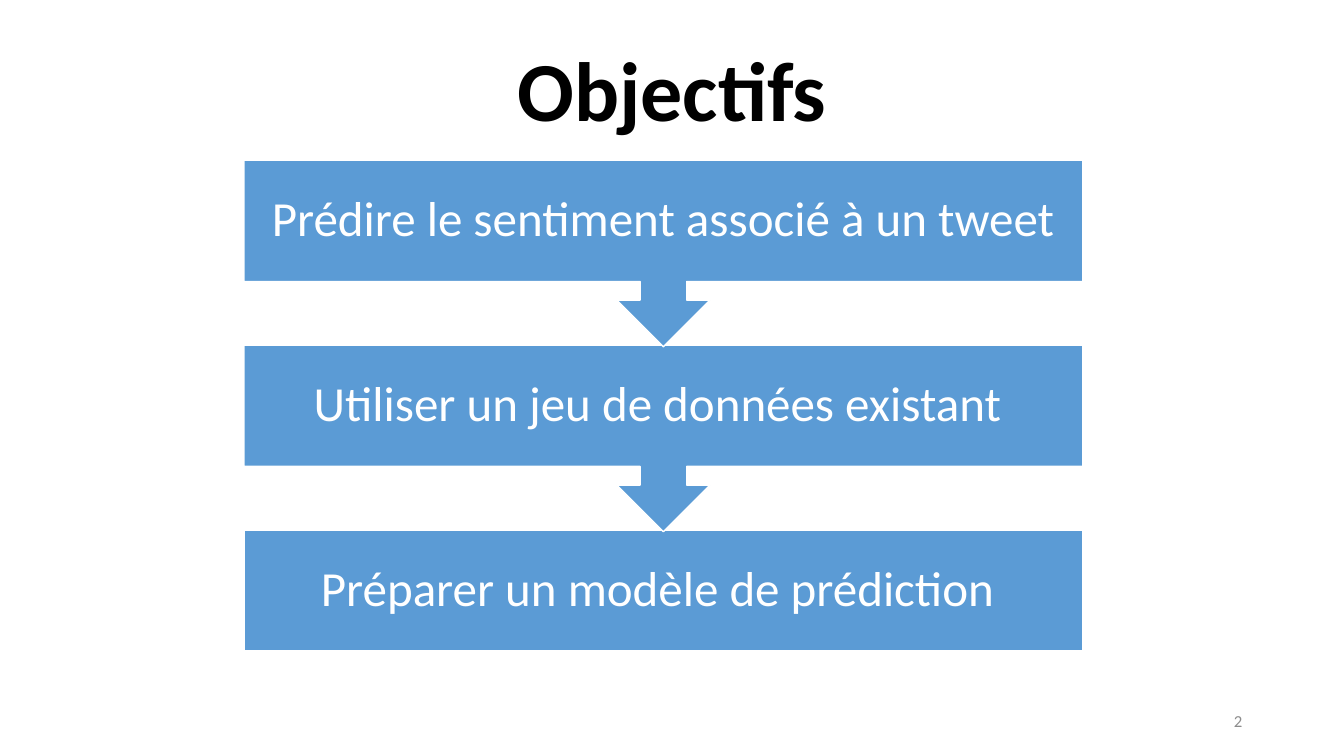
from pptx import Presentation
from pptx.dml.color import RGBColor
from pptx.enum import shapes, text
from pptx.util import Inches, Pt


def style(paragraph, size, color, align, bold=False):
    paragraph.alignment = align
    for run in paragraph.runs:
        run.font.name = "Calibri"
        run.font.size = Pt(size)
        run.font.bold = bold
        run.font.color.rgb = RGBColor.from_string(color)


prs = Presentation()
prs.slide_width = Inches(13.33)
prs.slide_height = Inches(7.5)
slide = prs.slides.add_slide(prs.slide_layouts[5])

heading = slide.shapes.title
heading.left, heading.top = Inches(0), Inches(0.03)
heading.width, heading.height = Inches(13.33), Inches(1.82)
heading.text_frame.text = "Objectifs"
heading.text_frame.vertical_anchor = text.MSO_ANCHOR.MIDDLE
heading.text_frame.paragraphs[0].line_spacing = 0.9
style(heading.text_frame.paragraphs[0], 60, "000000", text.PP_ALIGN.CENTER, True)

page_number = slide.shapes.add_textbox(Inches(9.42), Inches(6.95), Inches(3), Inches(0.4))
page_number.text_frame.word_wrap = True
page_number.text_frame.vertical_anchor = text.MSO_ANCHOR.MIDDLE
page_number.text_frame.text = "2"
style(page_number.text_frame.paragraphs[0], 12, "8C8C8C", text.PP_ALIGN.RIGHT)

CALLOUT = shapes.MSO_SHAPE.DOWN_ARROW_CALLOUT
objectives = [
    ("Prédire le sentiment associé à un tweet", CALLOUT, 1.85),
    ("Utiliser un jeu de données existant ", CALLOUT, 1.85),
    ("Préparer un modèle de prédiction ", shapes.MSO_SHAPE.RECTANGLE, 1.2),
]
first_top, step = 1.59, 1.835

for row, (wording, kind, height) in reversed(list(enumerate(objectives))):
    objective = slide.shapes.add_shape(
        kind, Inches(2.42), Inches(first_top + row * step), Inches(8.32), Inches(height)
    )
    objective.shadow.inherit = False
    objective.fill.solid()
    objective.fill.fore_color.rgb = RGBColor.from_string("5B9BD5")
    objective.line.color.rgb = RGBColor.from_string("FFFFFF")
    objective.line.width = Pt(1)
    frame = objective.text_frame
    frame.word_wrap = True
    frame.vertical_anchor = text.MSO_ANCHOR.MIDDLE
    frame.margin_left = frame.margin_right = Inches(0.2)
    frame.margin_top = frame.margin_bottom = Inches(0.27)
    frame.text = wording
    frame.paragraphs[0].line_spacing = 0.9
    style(frame.paragraphs[0], 35, "FFFFFF", text.PP_ALIGN.CENTER)

prs.save("out.pptx")
